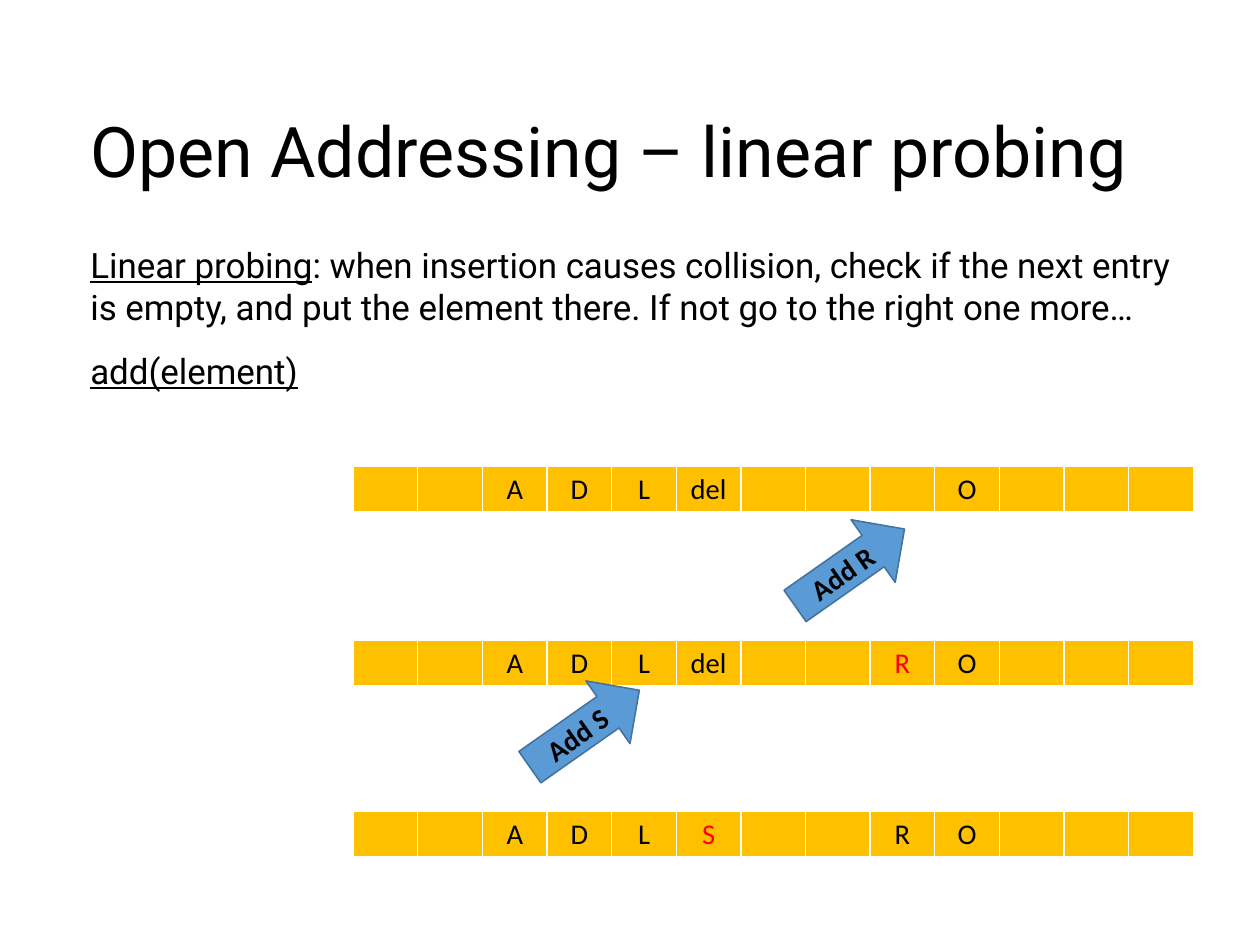
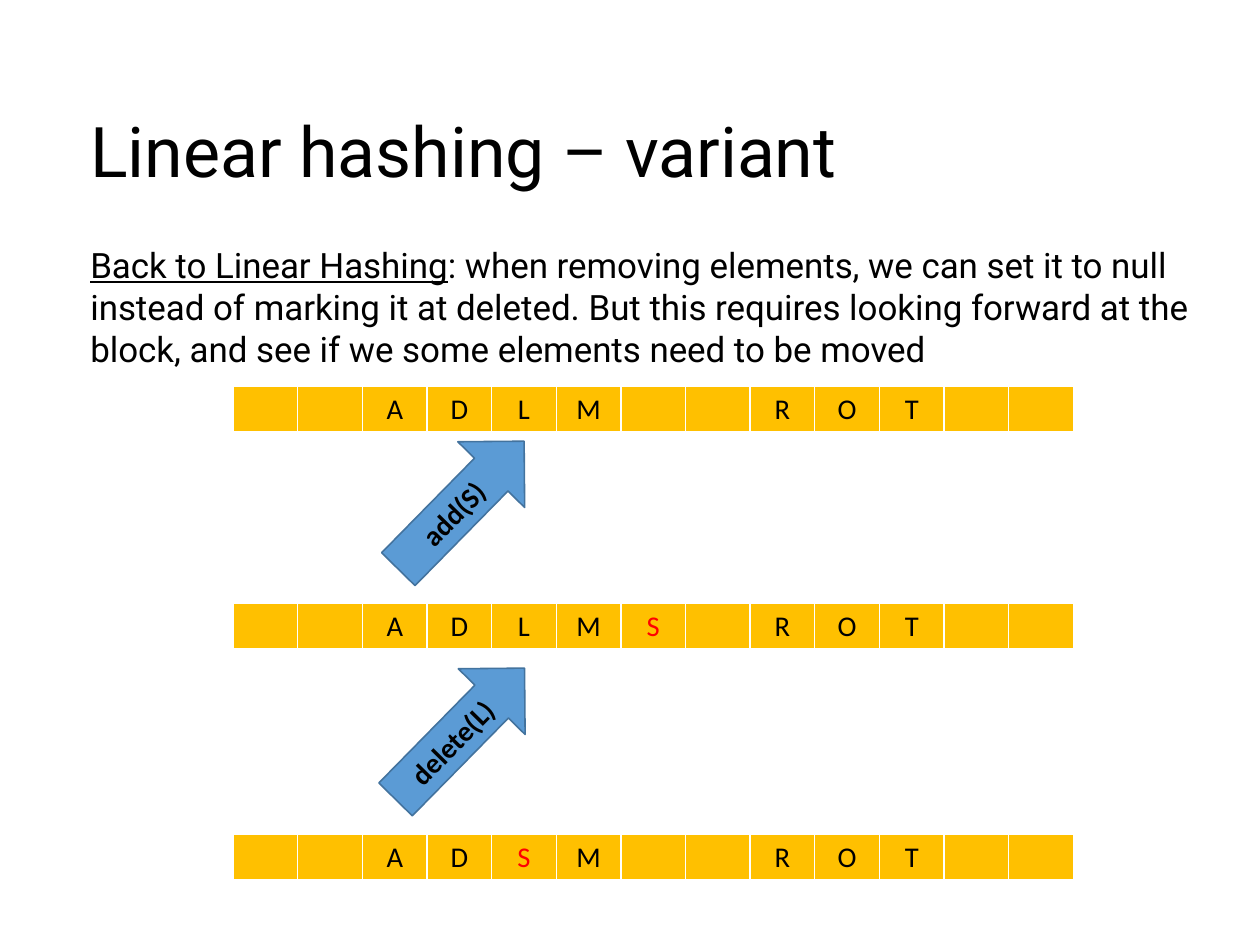
"""Build two slides that show insertion and removal in a hash table with linear probing."""
from dataclasses import dataclass

from lxml.etree import SubElement
from pptx import Presentation
from pptx.dml.color import RGBColor
from pptx.enum.shapes import MSO_SHAPE
from pptx.enum.text import MSO_ANCHOR, MSO_AUTO_SIZE, PP_ALIGN
from pptx.oxml import parse_xml
from pptx.oxml.ns import nsdecls, qn
from pptx.util import Cm, Inches, Pt

BLACK = RGBColor(0x00, 0x00, 0x00)
WHITE = RGBColor(0xFF, 0xFF, 0xFF)
RED = RGBColor(0xFF, 0x00, 0x00)
GOLD = RGBColor(0xFF, 0xC0, 0x00)
BLUE = RGBColor(0x5B, 0x9B, 0xD5)
DARK_BLUE = RGBColor(0x43, 0x73, 0x9E)

TEXT_FONT = "Roboto"
DIAGRAM_FONT = "Calibri"
TITLE_ONLY = 5
MARGIN = 0.79
BUCKETS_WIDTH = 7.35
BUCKETS_HEIGHT = 0.41
EMPTY = "_"
BORDER_WIDTHS = {"lnL": 1, "lnR": 1, "lnT": 1, "lnB": 3}


@dataclass(frozen=True)
class Buckets:
    top: float
    entries: str
    inserted: str = ""


@dataclass(frozen=True)
class Operation:
    label: str
    left: float
    top: float
    width: float
    height: float
    rotation: float


@dataclass(frozen=True)
class Lesson:
    title: str
    paragraphs: tuple[tuple[str, str], ...]
    buckets_left: float
    states: tuple[Buckets, ...]
    operations: tuple[Operation, ...]


LESSONS = (
    Lesson(
        "Open Addressing – linear probing",
        (
            ("Linear probing", ": when insertion causes collision, check if the next entry is "
             "empty, and put the element there. If not go to the right one more…"),
            ("add(element)", ""),
        ),
        3.09,
        (
            Buckets(4.08, "_ _ A D L del _ _ _ O _ _ _"),
            Buckets(5.6, "_ _ A D L del _ _ R O _ _ _", "R"),
            Buckets(7.1, "_ _ A D L S _ _ R O _ _ _", "S"),
        ),
        (
            Operation("Add R", 6.85, 4.63, 1.17, 0.67, 324.9),
            Operation("Add S", 4.53, 6.04, 1.17, 0.67, 324.9),
        ),
    ),
    Lesson(
        "Linear hashing – variant",
        (
            ("Back to Linear Hashing", ": when removing elements, we can set it to null instead "
             "of marking it at deleted. But this requires looking forward at the block, and see "
             "if we some elements need to be moved"),
        ),
        2.04,
        (
            Buckets(3.38, "_ _ A D L M _ _ R O T _ _"),
            Buckets(5.28, "_ _ A D L M S _ R O T _ _", "S"),
            Buckets(7.3, "_ _ A D S M _ _ R O T _ _", "S"),
        ),
        (
            Operation("add(S)", 3.25, 4.01, 1.57, 0.82, 314.5),
            Operation("delete(L)", 3.22, 6.01, 1.61, 0.82, 314.5),
        ),
    ),
)


def write(paragraph, text: str, *, size: float = 18, font: str = DIAGRAM_FONT,
          color: RGBColor = BLACK, bold: bool = False, underline: bool = False,
          align: PP_ALIGN = PP_ALIGN.CENTER) -> None:
    """Append a formatted run to a paragraph."""
    paragraph.alignment = align
    run = paragraph.add_run()
    run.text = text
    run.font.size = Pt(size)
    run.font.name = font
    run.font.color.rgb = color
    run.font.bold = bold
    run.font.underline = underline


def prepare_frame(frame, anchor: MSO_ANCHOR) -> None:
    """Give a text frame wrapping, a fixed size and no insets."""
    frame.word_wrap = True
    frame.auto_size = MSO_AUTO_SIZE.NONE
    frame.vertical_anchor = anchor
    frame.margin_left = frame.margin_top = frame.margin_right = frame.margin_bottom = 0


def place_title(slide, text: str) -> None:
    """Position and fill the title placeholder."""
    title = slide.shapes.title
    title.left, title.top = Inches(MARGIN), Inches(0.75)
    title.width, title.height = Inches(9.25), Inches(1.12)
    prepare_frame(title.text_frame, MSO_ANCHOR.MIDDLE)
    write(title.text_frame.paragraphs[0], text, size=44, font=TEXT_FONT, align=PP_ALIGN.LEFT)


def add_explanation(slide, paragraphs: tuple[tuple[str, str], ...]) -> None:
    """Add the body text, each paragraph opening with an underlined term."""
    body = slide.shapes.add_textbox(Inches(MARGIN), Inches(2.13), Inches(9.68), Inches(5.21))
    frame = body.text_frame
    prepare_frame(frame, MSO_ANCHOR.TOP)
    for index, (term, explanation) in enumerate(paragraphs):
        paragraph = frame.add_paragraph() if index else frame.paragraphs[0]
        paragraph.space_after = Pt(14.2)
        for text, underline in ((term, True), (explanation, False)):
            if text:
                write(paragraph, text, size=22, font=TEXT_FONT, underline=underline,
                      align=PP_ALIGN.LEFT)


def set_borders(cell) -> None:
    """Draw white borders around a cell."""
    properties = cell._tc.get_or_add_tcPr()
    for index, (side, width) in enumerate(BORDER_WIDTHS.items()):
        border = parse_xml(f'<a:{side} {nsdecls("a")} w="{Pt(width)}"/>')
        fill = SubElement(border, qn("a:solidFill"))
        SubElement(fill, qn("a:srgbClr"), val=str(WHITE))
        properties.insert(index, border)


def add_buckets(slide, left: float, state: Buckets) -> None:
    """Add the hash table as a row of cells, with the inserted entry in red."""
    entries = state.entries.split()
    table = slide.shapes.add_table(1, len(entries), Inches(left), Inches(state.top),
                                   Inches(BUCKETS_WIDTH), Inches(BUCKETS_HEIGHT)).table
    table.first_row = table.horz_banding = False
    for column, cell, entry in zip(table.columns, table.rows[0].cells, entries):
        column.width = Inches(BUCKETS_WIDTH / len(entries))
        cell.fill.solid()
        cell.fill.fore_color.rgb = GOLD
        set_borders(cell)
        if entry != EMPTY:
            write(cell.text_frame.paragraphs[0], entry,
                  color=RED if entry == state.inserted else BLACK)


def add_operation(slide, operation: Operation) -> None:
    """Add a rotated block arrow that carries the operation's label."""
    arrow = slide.shapes.add_shape(MSO_SHAPE.RIGHT_ARROW, Inches(operation.left),
                                   Inches(operation.top), Inches(operation.width),
                                   Inches(operation.height))
    arrow.rotation = operation.rotation
    arrow.shadow.inherit = False
    arrow.fill.solid()
    arrow.fill.fore_color.rgb = BLUE
    arrow.line.color.rgb = DARK_BLUE
    arrow.line.width = Pt(1)
    arrow.text_frame.vertical_anchor = MSO_ANCHOR.MIDDLE
    write(arrow.text_frame.paragraphs[0], operation.label, bold=True)


def add_lesson(deck, lesson: Lesson) -> None:
    """Add one slide with its title, text, bucket rows and arrows."""
    slide = deck.slides.add_slide(deck.slide_layouts[TITLE_ONLY])
    place_title(slide, lesson.title)
    add_explanation(slide, lesson.paragraphs)
    for state in lesson.states:
        add_buckets(slide, lesson.buckets_left, state)
    for operation in lesson.operations:
        add_operation(slide, operation)


def main() -> None:
    """Build and save the presentation."""
    deck = Presentation()
    deck.slide_width, deck.slide_height = Cm(28), Cm(21)
    for lesson in LESSONS:
        add_lesson(deck, lesson)
    deck.save("out.pptx")


if __name__ == "__main__":
    main()
